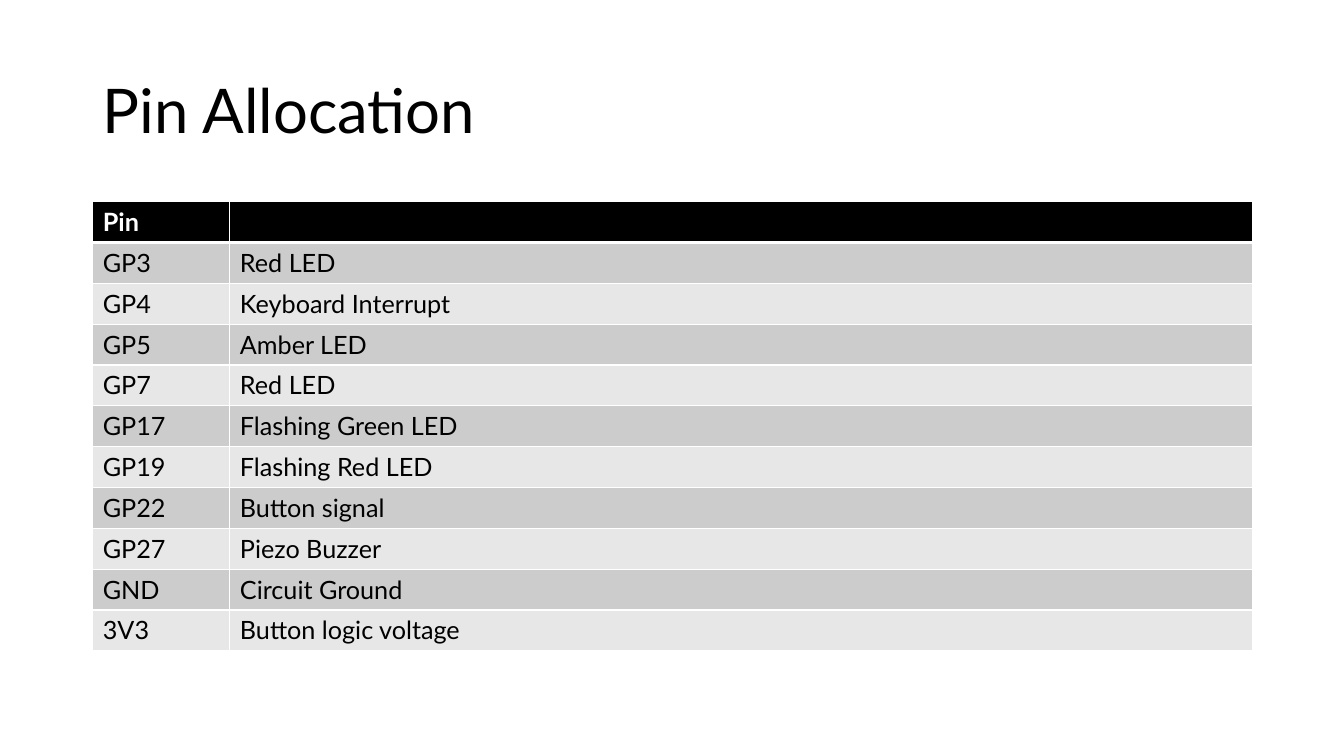
import pptx
import pptx.dml.color
import pptx.enum.text
import pptx.oxml
import pptx.oxml.ns
import pptx.util
from pptx.util import Inches

PINS = [
    ("Pin", ""),
    ("GP3", "Red LED"),
    ("GP4", "Keyboard Interrupt"),
    ("GP5", "Amber LED"),
    ("GP7", "Red LED"),
    ("GP17", "Flashing Green LED"),
    ("GP19", "Flashing Red LED"),
    ("GP22", "Button signal"),
    ("GP27", "Piezo Buzzer"),
    ("GND", "Circuit Ground"),
    ("3V3", "Button logic voltage"),
]


def colour(value):
    return pptx.dml.color.RGBColor.from_string(value)


class PinSlide:
    font = "Lato"
    black, white = "000000", "FFFFFF"
    bands = ("E7E7E7", "CCCCCC")
    left, width = 0.92, 11.5

    def __init__(self, presentation):
        self.slide = presentation.slides.add_slide(presentation.slide_layouts[5])

    def add_text(self, paragraph, words, size, ink, bold=False):
        run = paragraph.add_run()
        run.text = words
        run.font.name = self.font
        run.font.size = pptx.util.Pt(size)
        run.font.bold = bold
        run.font.color.rgb = colour(ink)

    def title(self, words, top, height):
        heading = self.slide.shapes.title
        heading.left, heading.top = Inches(self.left), Inches(top)
        heading.width, heading.height = Inches(self.width), Inches(height)
        frame = heading.text_frame
        frame.word_wrap = True
        frame.auto_size = pptx.enum.text.MSO_AUTO_SIZE.NONE
        frame.vertical_anchor = pptx.enum.text.MSO_ANCHOR.MIDDLE
        paragraph = frame.paragraphs[0]
        paragraph.alignment = pptx.enum.text.PP_ALIGN.LEFT
        paragraph.line_spacing = 0.9
        self.add_text(paragraph, words, 44, self.black)

    def border(self, cell, side, points):
        cell._tc.get_or_add_tcPr().append(pptx.oxml.parse_xml(
            f'<a:ln{side} {pptx.oxml.ns.nsdecls("a")} w="{pptx.util.Pt(points)}">'
            f'<a:solidFill><a:srgbClr val="{self.white}"/></a:solidFill>'
            f'</a:ln{side}>'))

    def table(self, rows, top, height, column_widths):
        allocation = self.slide.shapes.add_table(
            len(rows), len(column_widths), Inches(self.left), Inches(top),
            Inches(self.width), Inches(height)).table
        for column, width in zip(allocation.columns, column_widths):
            column.width = Inches(width)
        for r, entries in enumerate(rows):
            header = r == 0
            for c, words in enumerate(entries):
                cell = allocation.cell(r, c)
                for side in "LRTB":
                    thick = (header and side == "B") or (r == 1 and side == "T")
                    self.border(cell, side, 3 if thick else 1)
                cell.fill.solid()
                cell.fill.fore_color.rgb = colour(
                    self.black if header else self.bands[r % 2])
                if words:
                    self.add_text(cell.text_frame.paragraphs[0], words, 18,
                                  self.white if header else self.black, header)


def main():
    presentation = pptx.Presentation()
    presentation.slide_width = Inches(13.33)
    presentation.slide_height = Inches(7.5)
    allocation = PinSlide(presentation)
    allocation.title("Pin Allocation", 0.4, 1.45)
    allocation.table(PINS, 2, 4.46, (1.36, 10.14))
    presentation.save("out.pptx")


if __name__ == "__main__":
    main()
